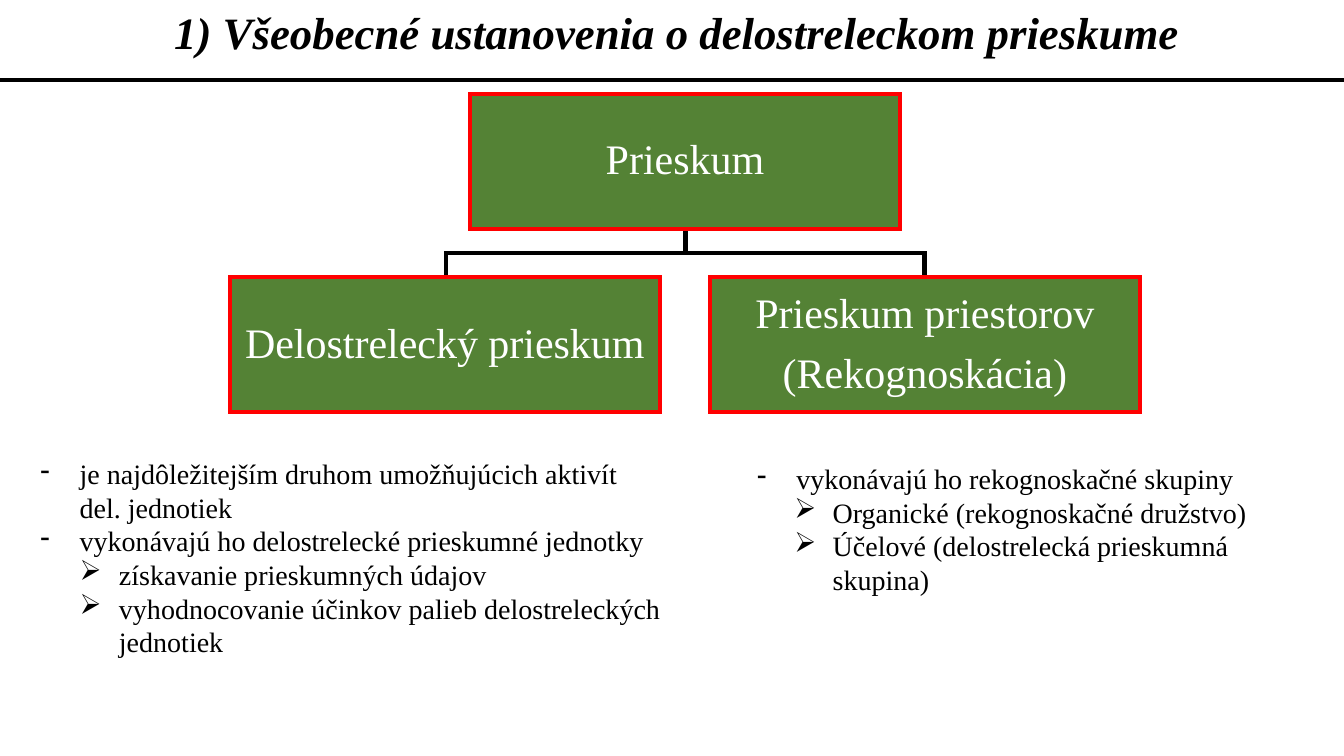
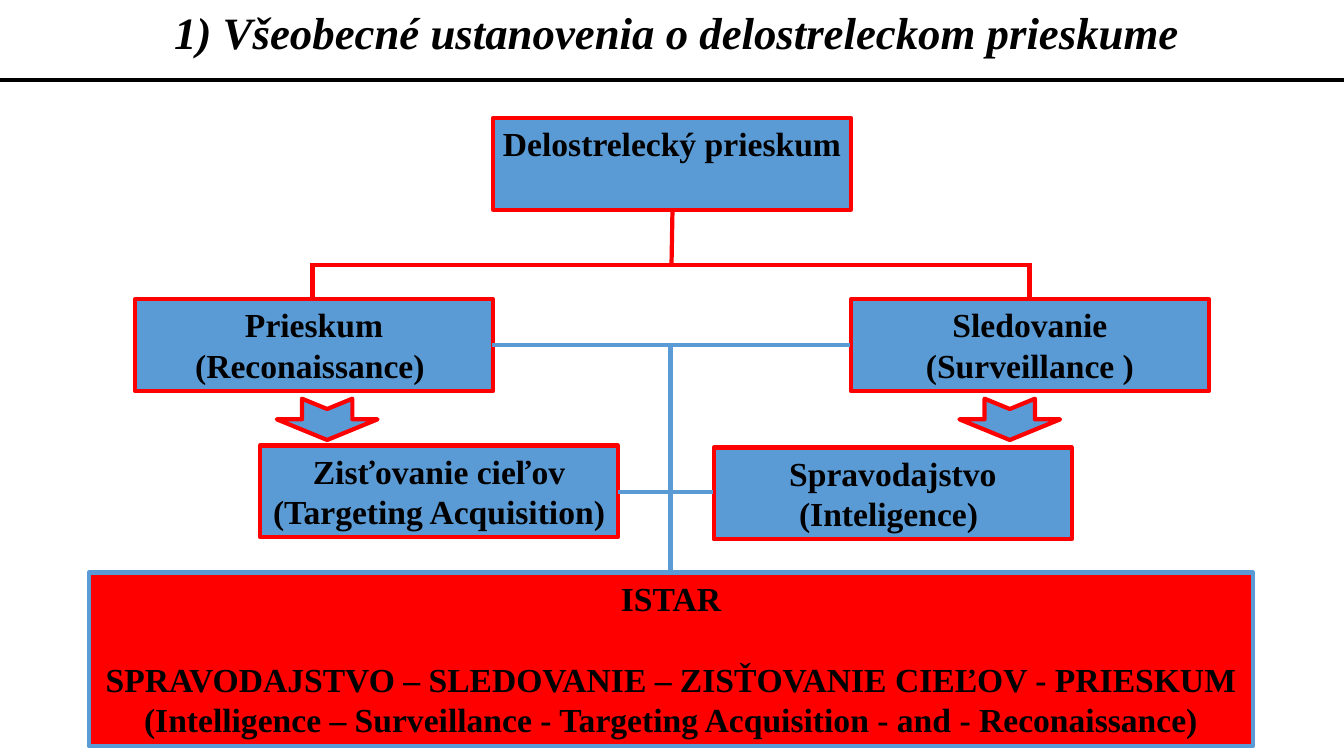
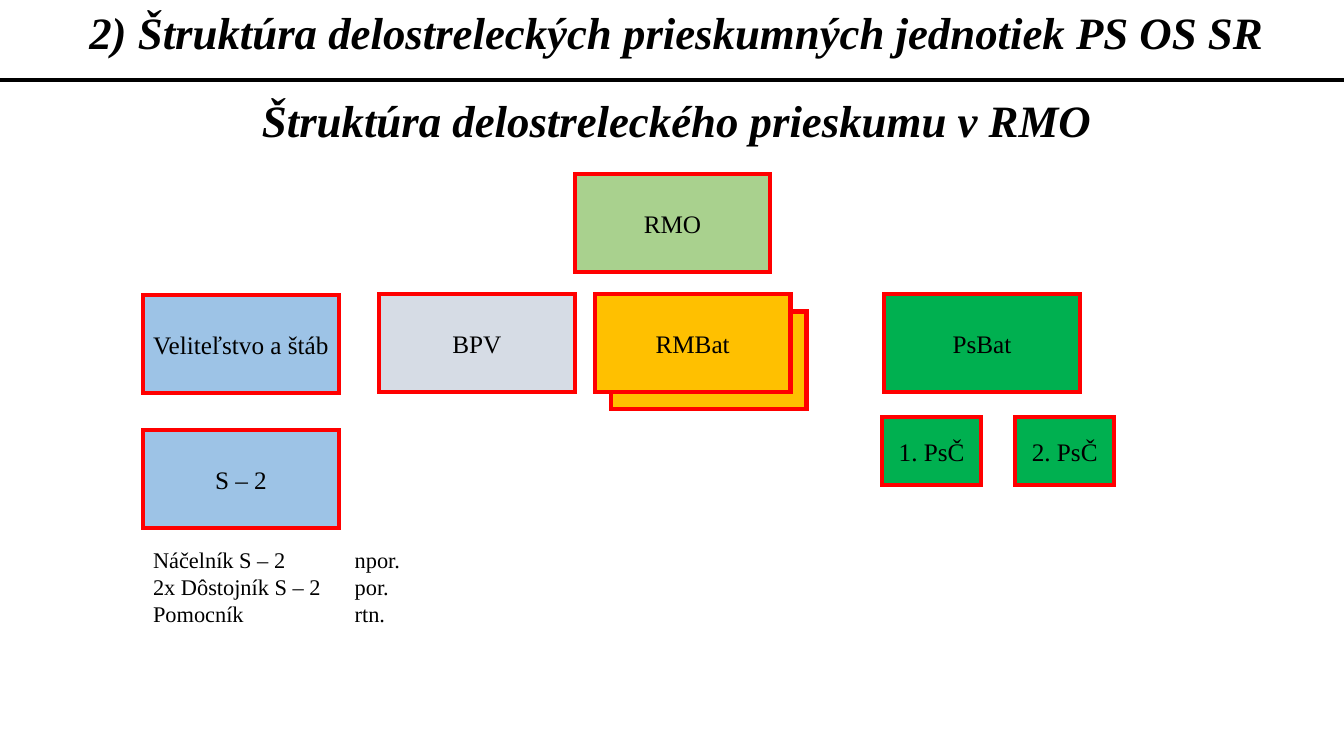
from lxml import etree
from pptx import Presentation
from pptx.dml.color import RGBColor
from pptx.enum.shapes import MSO_CONNECTOR, MSO_SHAPE
from pptx.enum.text import MSO_ANCHOR, PP_ALIGN
from pptx.oxml.ns import qn
from pptx.util import Inches, Pt

BLACK = RGBColor(0x00, 0x00, 0x00)
WHITE = RGBColor(0xFF, 0xFF, 0xFF)
RED = RGBColor(0xFF, 0x00, 0x00)
BLUE = RGBColor(0x5B, 0x9B, 0xD5)
SKY = RGBColor(0x9D, 0xC3, 0xE6)
GRAY = RGBColor(0xD6, 0xDC, 0xE5)
MOSS = RGBColor(0x54, 0x82, 0x35)
LIME = RGBColor(0xA9, 0xD1, 0x8E)
GREEN = RGBColor(0x00, 0xB0, 0x50)
GOLD = RGBColor(0xFF, 0xC0, 0x00)

RECT = MSO_SHAPE.RECTANGLE
ARROW = MSO_SHAPE.NOTCHED_RIGHT_ARROW
LINE = MSO_CONNECTOR.STRAIGHT
LEFT, CENTER = PP_ALIGN.LEFT, PP_ALIGN.CENTER
TOP, MIDDLE = MSO_ANCHOR.TOP, MSO_ANCHOR.MIDDLE

WIDE, HIGH = 13.33, 7.5
DASH, POINT = "-", "➢"


class Deck:
    font = "Times New Roman"
    stroke = Pt(3)

    def __init__(self):
        self.file = Presentation()
        self.file.slide_width = Inches(WIDE)
        self.file.slide_height = Inches(HIGH)
        self.slide = None

    def start(self, title):
        self.slide = self.file.slides.add_slide(self.file.slide_layouts[6])
        self.line((0, 0.79), (WIDE, 0.79), BLACK)
        self.title(title, 0)

    def title(self, text, top):
        frame = self.text(0, top, WIDE, 0.64, [text], 32, CENTER, bold=True, slant=True)
        self.indent(frame.paragraphs[0], 0.1, 0)

    def indent(self, para, left, hang):
        props = para._p.get_or_add_pPr()
        props.set("marL", str(Inches(left)))
        props.set("indent", str(Inches(hang)))
        return props

    def fill(self, frame, lines, size, align=LEFT, color=BLACK, bold=False,
             slant=False, anchor=TOP, side=0.1, edge=0.05):
        frame.word_wrap = True
        frame.vertical_anchor = anchor
        frame.margin_left = frame.margin_right = Inches(side)
        frame.margin_top = frame.margin_bottom = Inches(edge)
        for i, text in enumerate(lines):
            para = frame.add_paragraph() if i else frame.paragraphs[0]
            para.alignment = align
            run = para.add_run()
            run.text = text
            font = run.font
            font.name, font.size = self.font, Pt(size)
            font.bold, font.italic = bold, slant
            font.color.rgb = color
        return frame

    def text(self, left, top, width, height, lines, size, align=LEFT, **style):
        box = self.slide.shapes.add_textbox(
            Inches(left), Inches(top), Inches(width), Inches(height))
        return self.fill(box.text_frame, lines, size, align, **style)

    def list(self, left, top, width, height, items, deep, **style):
        lines = [text for mark, text in items]
        frame = self.text(left, top, width, height, lines, 20, **style)
        steps = {DASH: (0.79, -0.39), POINT: deep}
        for para, (mark, text) in zip(frame.paragraphs, items):
            props = self.indent(para, *steps[mark])
            etree.SubElement(props, qn("a:buChar")).set("char", mark)

    def tabbed(self, left, top, width, height, rows, stop):
        lines = ["\t".join(row) for row in rows]
        frame = self.text(left, top, width, height, lines, 16)
        for para in frame.paragraphs:
            tabs = etree.SubElement(para._p.get_or_add_pPr(), qn("a:tabLst"))
            tab = etree.SubElement(tabs, qn("a:tab"))
            tab.set("pos", str(Inches(stop)))
            tab.set("algn", "l")

    def border(self, shape, color, sharp):
        shape.shadow.inherit = False
        shape.line.color.rgb = color
        shape.line.width = self.stroke
        if sharp:
            miter = etree.SubElement(shape.line._get_or_add_ln(), qn("a:miter"))
            miter.set("lim", "800000")

    def shape(self, kind, left, top, width, height, fill, edge=RED, sharp=True):
        item = self.slide.shapes.add_shape(
            kind, Inches(left), Inches(top), Inches(width), Inches(height))
        item.fill.solid()
        item.fill.fore_color.rgb = fill
        self.border(item, edge, sharp)
        return item

    def node(self, left, top, lines):
        box = self.shape(RECT, left, top, 4.27, 1.34, MOSS)
        frame = self.fill(box.text_frame, lines, 30, CENTER, WHITE,
                          anchor=MIDDLE, side=0.02, edge=0.02)
        for i, para in enumerate(frame.paragraphs):
            para.line_spacing = 0.9
            if i:
                para.space_before = Pt(10.5)

    def block(self, left, top, lines, width=3.55, height=0.91, fill=BLUE, edge=RED):
        box = self.shape(RECT, left, top, width, height, fill, edge, False)
        return self.fill(box.text_frame, lines, 24, CENTER, bold=True, side=0.09)

    def unit(self, left, top, name, fill, width=1.94, height=0.97):
        box = self.shape(RECT, left, top, width, height, fill)
        if name:
            self.fill(box.text_frame, [name], 18, CENTER, anchor=MIDDLE, side=0.09)

    def arrow(self, left, top):
        self.shape(ARROW, left, top, 0.41, 1, BLUE, sharp=False).rotation = 90

    def line(self, start, end, color):
        ends = [Inches(n) for n in (*start, *end)]
        rule = self.slide.shapes.add_connector(LINE, *ends)
        rule.line.color.rgb = color
        rule.line.width = self.stroke
        etree.SubElement(rule._element.spPr, qn("a:effectLst"))

    def bend(self, points, color):
        spots = [(Inches(x), Inches(y)) for x, y in points]
        pen = self.slide.shapes.build_freeform(*spots[0])
        pen.add_line_segments(spots[1:], close=False)
        item = pen.convert_to_shape()
        item.fill.background()
        self.border(item, color, True)


def kinds(deck):
    deck.start("1) Všeobecné ustanovenia o delostreleckom prieskume")
    for x in (4.42, 9.17):
        deck.bend([(6.8, 2.27), (6.8, 2.51), (x, 2.51), (x, 2.75)], BLACK)
    deck.node(4.66, 0.93, ["Prieskum"])
    deck.node(2.28, 2.75, ["Delostrelecký prieskum"])
    deck.node(7.04, 2.75, ["Prieskum priestorov", "(Rekognoskácia)"])
    deck.list(0, 4.53, 6.58, 2.02, [
        (DASH, "je najdôležitejším druhom umožňujúcich aktivít del. jednotiek"),
        (DASH, "vykonávajú ho delostrelecké prieskumné jednotky"),
        (POINT, "získavanie prieskumných údajov"),
        (POINT, "vyhodnocovanie účinkov palieb delostreleckých jednotiek"),
    ], (1.18, -0.39), side=0, edge=0)
    deck.list(7.01, 4.53, 6.01, 1.45, [
        (DASH, "vykonávajú ho rekognoskačné skupiny"),
        (POINT, "Organické (rekognoskačné družstvo)"),
        (POINT, "Účelové (delostrelecká prieskumná skupina)"),
    ], (1.15, -0.38))


def istar(deck):
    deck.start("1) Všeobecné ustanovenia o delostreleckom prieskume")
    frame = deck.block(0.88, 5.68, [
        "ISTAR",
        "SPRAVODAJSTVO – SLEDOVANIE – ZISŤOVANIE CIEĽOV - PRIESKUM",
        "(Intelligence – Surveillance - Targeting Acquisition - and - Reconaissance)",
    ], 11.55, 1.72, RED, BLUE)
    frame.paragraphs[1].space_before = Pt(29)
    for left, top, lines in (
        (4.89, 1.17, ["Delostrelecký prieskum "]),
        (1.34, 2.97, ["Prieskum", "(Reconaissance) "]),
        (8.44, 2.97, ["Sledovanie", "(Surveillance )"]),
        (2.58, 4.42, ["Zisťovanie cieľov", "(Targeting Acquisition) "]),
        (7.08, 4.44, ["Spravodajstvo", "(Inteligence) "]),
    ):
        deck.block(left, top, lines)
    deck.bend([(3.1, 2.97), (3.1, 2.63), (10.21, 2.63), (10.21, 2.97)], RED)
    deck.line((6.67, 2.09), (6.66, 2.64), RED)
    deck.line((6.65, 5.68), (6.65, 3.42), BLUE)
    deck.line((4.88, 3.42), (8.43, 3.42), BLUE)
    deck.line((6.13, 4.88), (7.07, 4.88), BLUE)
    for left in (3.04, 9.81):
        deck.arrow(left, 3.66)


def units(deck):
    deck.start("2) Štruktúra delostreleckých prieskumných jednotiek PS OS SR")
    deck.title("Štruktúra delostreleckého prieskumu v RMO", 0.87)
    for left, top, name, fill in (
        (5.7, 1.73, "RMO", LIME),
        (1.42, 2.93, "Veliteľstvo a štáb", SKY),
        (3.76, 2.92, "BPV", GRAY),
        (6.06, 3.09, "", GOLD),
        (5.9, 2.92, "RMBat", GOLD),
        (8.77, 2.92, "PsBat", GREEN),
        (1.42, 4.27, "S – 2", SKY),
    ):
        deck.unit(left, top, name, fill)
    for i in range(2):
        deck.unit(8.75 + 1.32 * i, 4.14, f"{i + 1}. PsČ", GREEN, 0.98, 0.67)
    deck.tabbed(1.42, 5.37, 3.16, 0.91, [
        ("Náčelník S – 2", "npor."),
        ("2x Dôstojník S – 2 ", "por."),
        ("Pomocník", "rtn."),
    ], 2)


def main():
    deck = Deck()
    kinds(deck)
    istar(deck)
    units(deck)
    deck.file.save("out.pptx")


if __name__ == "__main__":
    main()
